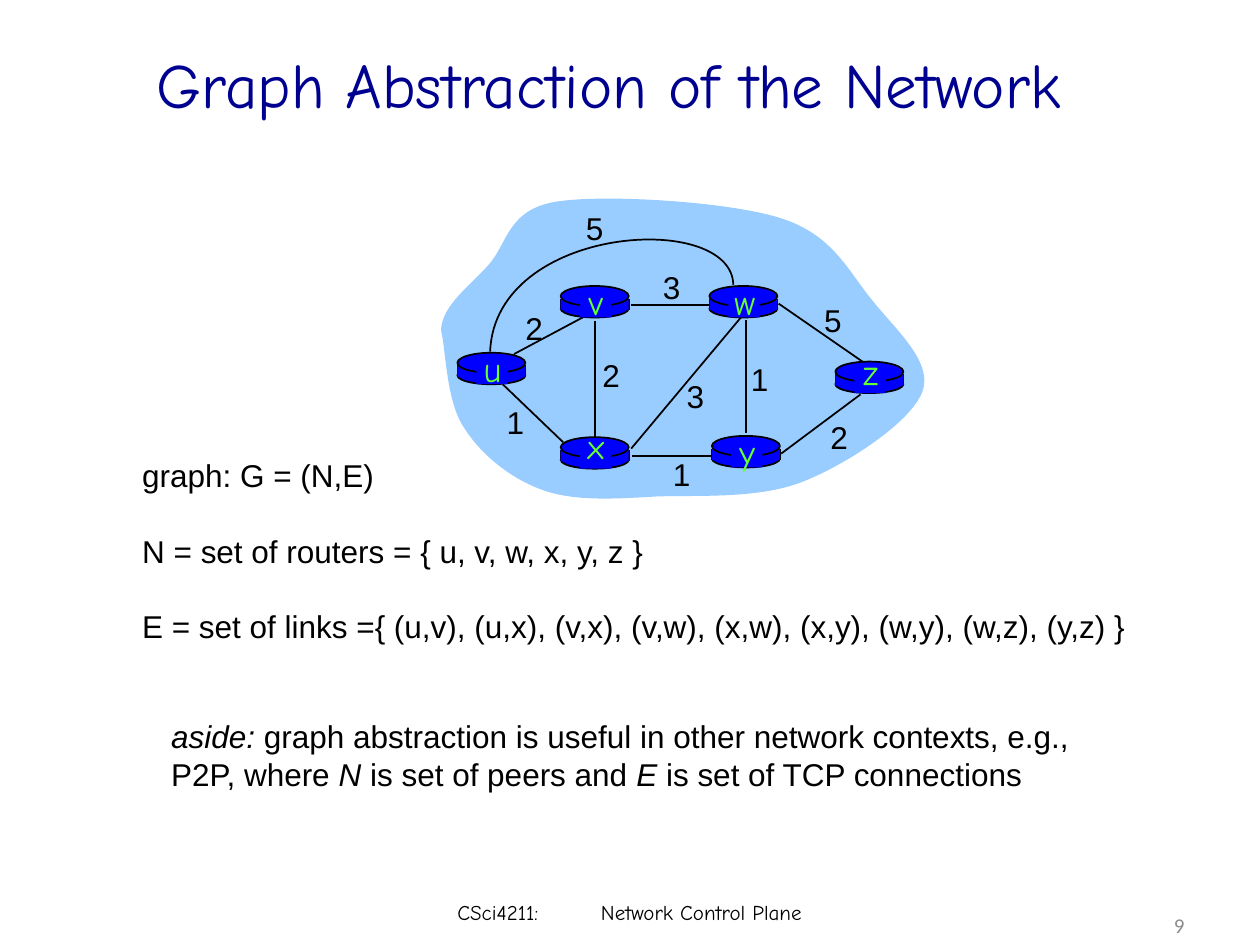
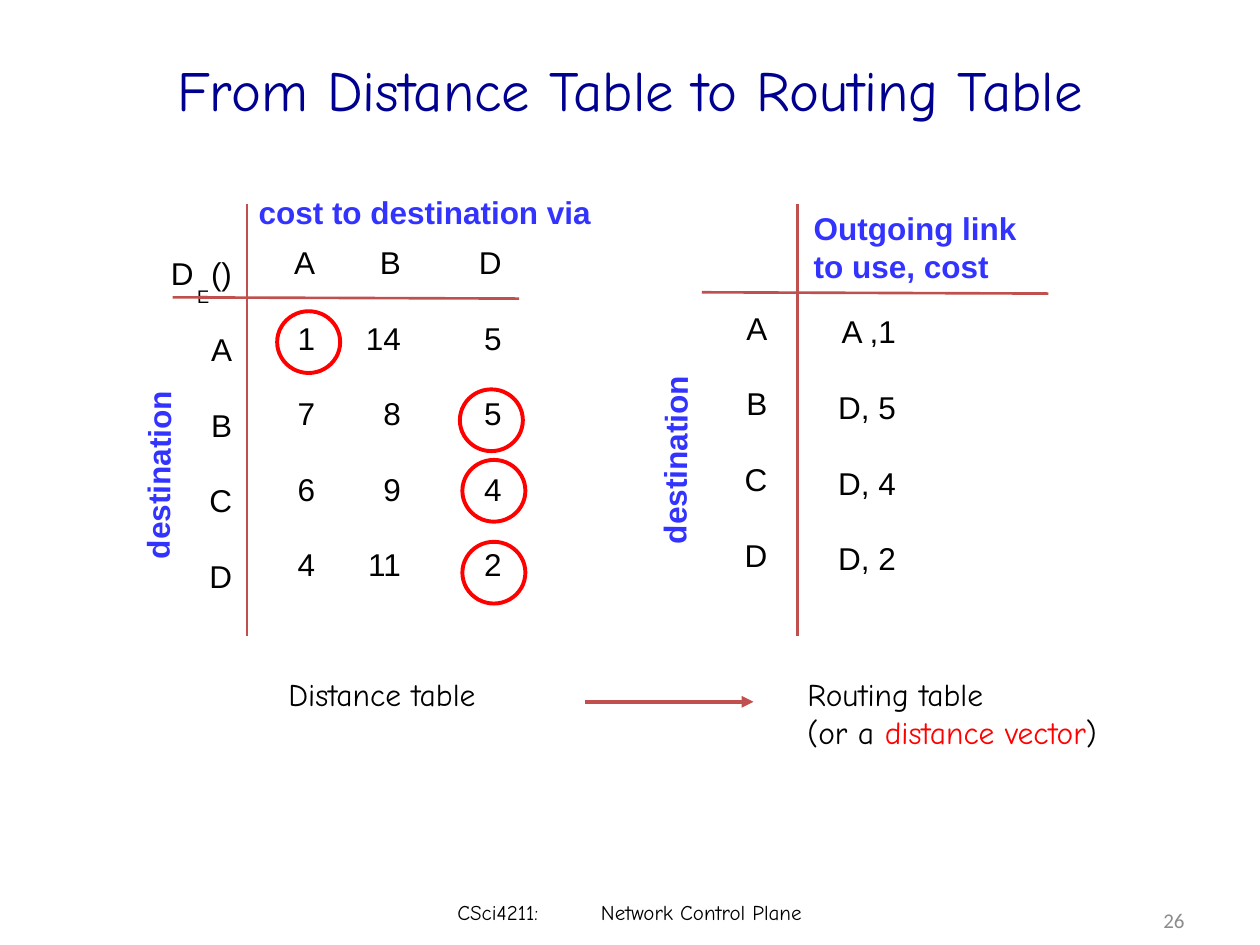
import pptx
import pptx.util
import pptx.dml.color
import pptx.enum.shapes
import pptx.enum.text
import pptx.oxml.ns
from lxml import etree

Inches, Pt = pptx.util.Inches, pptx.util.Pt
RGBColor = pptx.dml.color.RGBColor
SHAPE = pptx.enum.shapes.MSO_SHAPE
ALIGN = pptx.enum.text.PP_ALIGN
ANCHOR = pptx.enum.text.MSO_ANCHOR
qn = pptx.oxml.ns.qn

BLACK = RGBColor(0x00, 0x00, 0x00)
NAVY = RGBColor(0x00, 0x00, 0x90)
GRAY = RGBColor(0x8C, 0x8C, 0x8C)
SKY = RGBColor(0x99, 0xCC, 0xFF)
ROUTER_BLUE = RGBColor(0x00, 0x00, 0xFF)
GREEN = RGBColor(0x66, 0xFF, 0x33)
HEADER_BLUE = RGBColor(0x33, 0x33, 0xFF)
BRICK = RGBColor(0xC0, 0x50, 0x4D)
RED = RGBColor(0xFF, 0x00, 0x00)

BODY_FONT, HAND_FONT, NUMBER_FONT = "Arial", "Comic Neue", "Calibri"
ROW_GAP = 21.6  # points between spaced lines


# ---- Shared helpers ----

def add_text(slide, box, *paras, wrap=False, anchor=ANCHOR.TOP, rotation=0,
             inset=0.05, size=18, font=BODY_FONT, color=BLACK, bold=False,
             align=ALIGN.LEFT, gap=0):
    """Each paragraph is a string or a list of (text, overrides) runs."""
    sp = slide.shapes.add_textbox(*map(Inches, box))
    sp.rotation = rotation
    tf = sp.text_frame
    tf.word_wrap, tf.vertical_anchor = wrap, anchor
    tf.margin_top = Inches(inset)
    for i, para in enumerate(paras):
        p = tf.add_paragraph() if i else tf.paragraphs[0]
        p.alignment = align
        if i and gap:
            p.space_before = Pt(gap)
        for text, extra in [(para, {})] if isinstance(para, str) else para:
            r = p.add_run()
            r.text = text
            f = r.font
            f.size, f.name, f.bold = Pt(size), font, bold
            f.italic = extra.get("italic", False)
            f.color.rgb = extra.get("color", color)
            if "baseline" in extra:
                r._r.get_or_add_rPr().set("baseline", extra["baseline"])
    return sp


def style(sp, fill=None, line=None, width=1):
    sp.shadow.inherit = False
    if fill is None:
        sp.fill.background()
    else:
        sp.fill.solid()
        sp.fill.fore_color.rgb = fill
    if line is None:
        sp.line.fill.background()
    else:
        sp.line.color.rgb, sp.line.width = line, Pt(width)


def add_shape(slide, kind, box, **look):
    style(slide.shapes.add_shape(kind, *map(Inches, box)), **look)


def add_line(slide, x1, y1, x2, y2, color=BLACK, width=1, arrow=False):
    cn = slide.shapes.add_connector(pptx.enum.shapes.MSO_CONNECTOR.STRAIGHT,
                                    *map(Inches, (x1, y1, x2, y2)))
    cn.line.color.rgb, cn.line.width = color, Pt(width)
    if arrow:
        etree.SubElement(cn.line._get_or_add_ln(), qn("a:tailEnd"), type="triangle")
    etree.SubElement(cn._element.spPr, qn("a:effectLst"))


def add_curve(slide, left, top, start, segments, close=False, **look):
    """Outline through cubic segments (control, control, end)."""
    points = [start, *(point for segment in segments for point in segment)]
    points = [(Inches(left + x), Inches(top + y)) for x, y in points]
    fb = slide.shapes.build_freeform(*points[0], scale=1)
    fb.add_line_segments(points[1:], close=close)
    sp = fb.convert_to_shape()
    # Join each three line steps into one cubic step
    steps = list(sp._element.iter(qn("a:lnTo")))
    for first, *others in zip(steps[::3], steps[1::3], steps[2::3]):
        first.tag = qn("a:cubicBezTo")
        for step in others:
            first.append(step[0])
            step.getparent().remove(step)
    style(sp, **look)


def new_slide(prs, title, title_box, title_size, number, number_top):
    slide = prs.slides.add_slide(prs.slide_layouts[6])
    add_text(slide, title_box, title, wrap=True, anchor=ANCHOR.MIDDLE,
             size=title_size, font=HAND_FONT, color=NAVY, align=ALIGN.CENTER)
    # Footer: course and topic set apart by a tab stop
    sp = add_text(slide, (3.42, 7.14, 3.17, 0.4), "CSci4211:\tNetwork Control Plane",
                  wrap=True, inset=0, size=12, font=HAND_FONT)
    tf = sp.text_frame
    tf.margin_left = Inches(0.21)
    tabs = etree.SubElement(tf.paragraphs[0]._p.get_or_add_pPr(), qn("a:tabLst"))
    etree.SubElement(tabs, qn("a:tab"), pos=str(Inches(1.14)), algn="l")
    add_text(slide, (7.17, number_top, 2.33, 0.4), number, wrap=True,
             anchor=ANCHOR.MIDDLE, size=12, font=NUMBER_FONT, color=GRAY,
             align=ALIGN.RIGHT)
    return slide


# ---- Network graph ----

CLOUD_START = (0, 1.08)
CLOUD = [
    ((0.01, 0.88), (0.23, 0.73), (0.38, 0.56)),
    ((0.53, 0.39), (0.53, 0.12), (0.92, 0.06)),
    ((1.3, 0), (2.28, 0.06), (2.69, 0.19)),
    ((3.11, 0.32), (3.23, 0.61), (3.42, 0.84)),
    ((3.6, 1.07), (3.91, 1.33), (3.82, 1.57)),
    ((3.73, 1.81), (3.23, 2.14), (2.88, 2.28)),
    ((2.53, 2.42), (2.07, 2.39), (1.72, 2.4)),
    ((1.38, 2.42), (1.06, 2.44), (0.81, 2.35)),
    ((0.55, 2.26), (0.31, 2.06), (0.18, 1.85)),
    ((0.04, 1.64), (0.04, 1.24), CLOUD_START),
]
ARC_START = (2.32, 0.72)
ARC = [((2.31, 0.13), (0.43, 0.24), (0.39, 1.25))]
LINKS = [  # x1, y1, x2, y2
    (0.58, 1.27, 1.18, 0.95), (1.22, 1.01, 1.22, 1.94), (0.49, 1.51, 0.97, 1.97),
    (1.51, 2.02, 2.38, 0.98), (1.52, 2.08, 2.15, 2.08), (2.42, 1, 2.42, 1.9),
    (2.7, 2.06, 3.33, 1.59), (2.68, 0.87, 3.36, 1.34), (1.51, 0.88, 2.14, 0.88),
]
COSTS = [  # cost, left, top
    ("2", 0.57, 0.86), ("2", 1.18, 1.24), ("1", 0.42, 1.61), ("3", 1.85, 1.4),
    ("1", 1.74, 2.02), ("1", 2.36, 1.27), ("2", 2.99, 1.73), ("5", 2.94, 0.8),
    ("3", 1.66, 0.54), ("5", 1.05, 0.07),
]
ROUTERS = [  # name, left, top, rise of the name above the router's top
    ("u", 0.13, 1.26, 0.09), ("v", 0.95, 0.73, 0.09), ("w", 2.13, 0.73, 0.09),
    ("x", 0.95, 1.93, 0.15), ("y", 2.15, 1.92, 0.09), ("z", 3.13, 1.33, 0.14),
]


def add_router(slide, name, left, top, rise):
    width, mid = 0.54, top + 0.1
    add_shape(slide, SHAPE.OVAL, (left, top + 0.11, width, 0.14),
              fill=ROUTER_BLUE, line=BLACK)
    for x in (left, left + width):
        add_line(slide, x, mid, x, mid + 0.09)
    add_shape(slide, SHAPE.RECTANGLE, (left, mid, width, 0.09), fill=ROUTER_BLUE)
    add_shape(slide, SHAPE.OVAL, (left, top, width, 0.16),
              fill=ROUTER_BLUE, line=BLACK)
    add_shape(slide, SHAPE.RECTANGLE, (left + 0.15, top + 0.02, 0.25, 0.23),
              fill=ROUTER_BLUE)
    add_text(slide, (left + 0.1, top - rise, 0.36, 0.43), name, size=20,
             font=HAND_FONT, color=GREEN, align=ALIGN.CENTER)


def add_graph(slide, left, top):
    add_curve(slide, left, top, CLOUD_START, CLOUD, close=True, fill=SKY)
    for x1, y1, x2, y2 in LINKS:
        add_line(slide, left + x1, top + y1, left + x2, top + y2)
    add_curve(slide, left, top, ARC_START, ARC, line=BLACK)
    for name, x, y, rise in ROUTERS:
        add_router(slide, name, left + x, top + y, rise)
    for cost, x, y in COSTS:
        add_text(slide, (left + x, top + y, 0.34, 0.4), cost, align=ALIGN.CENTER)


def graph_slide(prs):
    slide = new_slide(prs, "Graph Abstraction of the Network",
                      (0.58, 0.23, 8.5, 0.87), 36, "9", 7.14)
    add_graph(slide, 3.5, 1.54)
    add_text(slide, (1.03, 3.57, 8.09, 1.6),
             "graph: G = (N,E)",
             "N = set of routers = { u, v, w, x, y, z }",
             "E = set of links ={ (u,v), (u,x), (v,x), (v,w), (x,w), (x,y), "
             "(w,y), (w,z), (y,z) }", gap=ROW_GAP)
    italic = {"italic": True}
    add_text(slide, (1.26, 5.64, 7.4, 0.7),
             [("aside:", italic),
              (" graph abstraction is useful in other network contexts, e.g.,", {})],
             [("P2P, where ", {}), ("N", italic), (" is set of peers and ", {}),
              ("E", italic), (" is set of TCP connections", {})])


# ---- Distance and routing tables ----

def add_column(slide, box, values, inset=0.05):
    """Right-aligned column of spaced values."""
    add_text(slide, box, *values, inset=inset, align=ALIGN.RIGHT, gap=ROW_GAP)


def add_frame(slide, left, top, cross_x, cross_y):
    """Rules crossing between the headings and the values."""
    add_line(slide, left, top + cross_y, left + 2.75, top + cross_y + 0.01, BRICK, 1.5)
    add_line(slide, left + cross_x, top, left + cross_x, top + 3.43, BRICK, 1.5)


def add_heading(slide, box, *lines, **fmt):
    add_text(slide, box, *lines, color=HEADER_BLUE, bold=True, **fmt)


def add_side_heading(slide, left, top):
    add_heading(slide, (left, top, 1.53, 0.4), "destination", rotation=270.6,
                align=ALIGN.RIGHT)


def add_distance_table(slide, left, top):
    add_column(slide, (left - 0.82, top + 0.35, 1.39, 2.83), ["D  ()", *"ABCD"])
    add_text(slide, (left + 0.08, top + 0.43, 0.31, 0.3),
             [("E", {"baseline": "-25000"})], align=ALIGN.RIGHT)
    for x, width, values in ((0.86, 0.37, "A1764"),
                             (1.36, 0.55, ("B", "14", "8", "9", "11")),
                             (2.33, 0.38, "D5542")):
        add_column(slide, (left + x, top + 0.26, width, 2.83), values)
    add_frame(slide, left, top, 0.59, 0.74)
    # Circles round the least cost of each row
    for x, y in ((0.83, 0.85), (2.28, 1.47), (2.3, 2.03), (2.3, 2.68)):
        add_shape(slide, SHAPE.OVAL, (left + x, top + y, 0.5, 0.49),
                  line=RED, width=2.25)
    add_heading(slide, (left + 0.58, top - 0.14, 2.84, 0.4),
                "cost to destination via", align=ALIGN.RIGHT)
    add_side_heading(slide, left - 0.88, top + 1.95)


def add_routing_table(slide, left, top):
    add_column(slide, (left + 0.18, top + 0.18, 0.44, 3.69), "ABCD", inset=0.65)
    add_column(slide, (left + 0.91, top + 0.51, 0.73, 2.52),
               ["A ,1", "D, 5", "D, 4", "D, 2"], inset=0.35)
    add_frame(slide, left, top, 0.76, 0.7)
    add_heading(slide, (left + 0.79, top - 0.01, 1.88, 0.7),
                "Outgoing link", "to use, cost")
    add_side_heading(slide, left - 0.98, top + 1.83)


def tables_slide(prs):
    slide = new_slide(prs, "From Distance Table to Routing Table",
                      (0.75, 0.08, 8.5, 1.25), 32.4, "26", 7.1)
    add_distance_table(slide, 1.37, 1.62)
    add_routing_table(slide, 5.57, 1.62)
    # Captions and the step between them
    add_text(slide, (2.19, 5.31, 2.45, 0.5), "Distance table", font=HAND_FONT)
    add_text(slide, (6.31, 5.31, 2.75, 0.71), "Routing table",
             [("(or a ", {}), ("distance vector", {"color": RED}), (")", {})],
             font=HAND_FONT)
    add_line(slide, 4.64, 5.57, 5.98, 5.57, BRICK, 2.25, arrow=True)


def main():
    prs = pptx.Presentation()
    prs.slide_width, prs.slide_height = Inches(10), Inches(7.5)
    graph_slide(prs)
    tables_slide(prs)
    prs.save("out.pptx")


if __name__ == "__main__":
    main()
